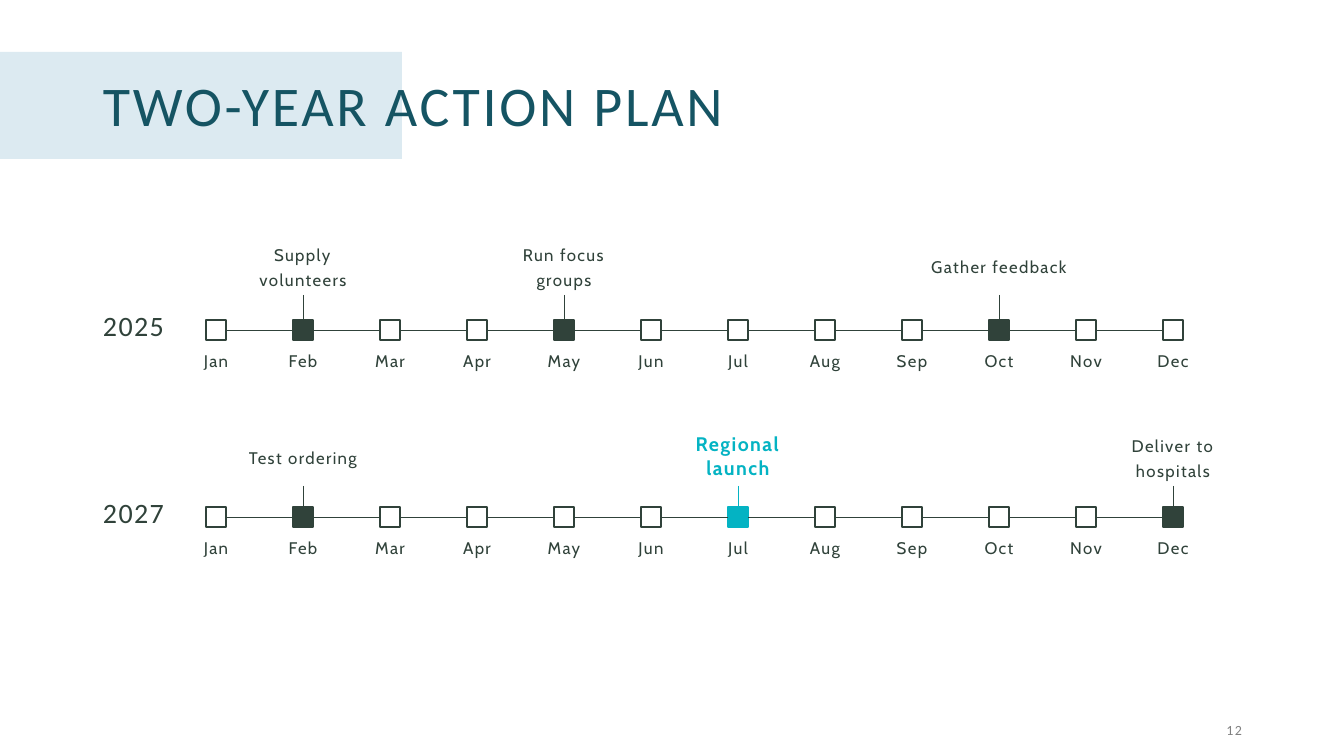
from dataclasses import dataclass

from lxml import etree
from pptx import Presentation
from pptx.dml.color import RGBColor
from pptx.enum.shapes import MSO_CONNECTOR, MSO_SHAPE
from pptx.enum.text import MSO_ANCHOR, MSO_AUTO_SIZE, PP_ALIGN
from pptx.oxml.ns import qn
from pptx.util import Emu, Pt

STRAIGHT = MSO_CONNECTOR.STRAIGHT
RECTANGLE = MSO_SHAPE.RECTANGLE
TOP, MIDDLE = MSO_ANCHOR.TOP, MSO_ANCHOR.MIDDLE
LEFT, CENTER, RIGHT = PP_ALIGN.LEFT, PP_ALIGN.CENTER, PP_ALIGN.RIGHT
NO_AUTOFIT = MSO_AUTO_SIZE.NONE
SIDE_TOP, SIDE_LEFT, SIDE_BOTTOM, SIDE_RIGHT = range(4)
EMU_PER_PX = 914400 / 100.8


@dataclass(frozen=True)
class Theme:
    heading_font: str = "Calibri"
    label_font: str = "Cabin"
    white: str = "FFFFFF"
    band: str = "DCEAF1"
    title: str = "155463"
    ink: str = "30423A"
    accent: str = "04B3C3"
    muted: str = "808080"
    title_size: int = 40
    year_size: int = 20
    launch_size: int = 14
    label_size: int = 12
    number_size: int = 10
    marker_line: float = 1
    axis_line: float = 0.5


THEME = Theme()

LABEL = {"name": THEME.label_font, "size": THEME.label_size, "color": THEME.ink}
LAUNCH = LABEL | {"size": THEME.launch_size, "color": THEME.accent, "bold": True}
YEAR = {"name": THEME.heading_font, "size": THEME.year_size, "color": THEME.ink}
TITLE = {"name": THEME.heading_font, "size": THEME.title_size, "color": THEME.title}
NUMBER = {"name": THEME.heading_font, "size": THEME.number_size, "color": THEME.muted}

MONTHS = ["Jan", "Feb", "Mar", "Apr", "May", "Jun",
          "Jul", "Aug", "Sep", "Oct", "Nov", "Dec"]
FIRST_MONTH_X = 216
MONTH_PITCH = 87
MARKER = 20
CALLOUT_WIDTH, CALLOUT_HEIGHT = 160, 61
MONTH_WIDTH, MONTH_HEIGHT = 68, 71

TIMELINES = [
    {"year": "2025", "axis": 330, "callout_top": 234, "milestones": {
        "Feb": ("Supply volunteers", LABEL),
        "May": ("Run focus groups", LABEL),
        "Oct": ("Gather feedback", LABEL)}},
    {"year": "2027", "axis": 517, "callout_top": 425, "milestones": {
        "Feb": ("Test ordering", LABEL),
        "Jul": ("Regional launch", LAUNCH),
        "Dec": ("Deliver to hospitals", LABEL)}},
]


def px(length):
    return Emu(round(length * EMU_PER_PX))


def apply(target, values):
    for name, value in values.items():
        setattr(target, name, value)


class SlideBuilder:
    def __init__(self, deck, theme):
        self.theme = theme
        self.page = deck.slides.add_slide(deck.slide_layouts[5])

    def set_text(self, holder, text, style, align, anchor, line_spacing, spacing, inset=10):
        frame = holder.text_frame
        apply(frame, {"word_wrap": True, "auto_size": NO_AUTOFIT, "vertical_anchor": anchor,
                      "margin_left": px(inset), "margin_right": px(inset),
                      "margin_top": px(5), "margin_bottom": px(5)})
        para = frame.paragraphs[0]
        apply(para, {"alignment": align, "line_spacing": line_spacing, "space_before": Pt(0)})
        span = para.add_run()
        span.text = text
        apply(span.font, {"name": style["name"], "size": Pt(style["size"]),
                          "bold": style.get("bold", False)})
        span.font.color.rgb = RGBColor.from_string(style["color"])
        span.font._element.set("spc", str(spacing * 100))

    def title(self, text, left, top, width, height):
        holder = self.page.shapes.title
        apply(holder, {"left": px(left), "top": px(top),
                       "width": px(width), "height": px(height)})
        self.set_text(holder, text, TITLE, LEFT, MIDDLE, 0.8, 2)

    def label(self, text, left, top, width, height, style, align=CENTER,
              anchor=MIDDLE, line_spacing=1.0, inset=10):
        box = self.page.shapes.add_textbox(px(left), px(top), px(width), px(height))
        self.set_text(box, text, style, align, anchor, line_spacing, 1, inset)
        return box

    def rectangle(self, left, top, width, height, fill, line=None):
        shape = self.page.shapes.add_shape(RECTANGLE, px(left), px(top), px(width), px(height))
        shape.shadow.inherit = False
        shape.fill.solid()
        shape.fill.fore_color.rgb = RGBColor.from_string(fill)
        if line:
            shape.line.color.rgb = RGBColor.from_string(line)
            shape.line.width = Pt(self.theme.marker_line)
        else:
            shape.line.fill.background()
        return shape

    def band(self, left, top, width, height):
        band = self.rectangle(left, top, width, height, self.theme.band)
        self.page.shapes.title.element.addprevious(band.element)

    def join(self, start, start_side, end, end_side, color):
        connector = self.page.shapes.add_connector(STRAIGHT, 0, 0, 0, 0)
        connector.begin_connect(start, start_side)
        connector.end_connect(end, end_side)
        connector.line.color.rgb = RGBColor.from_string(color)
        connector.line.width = Pt(self.theme.axis_line)
        etree.SubElement(connector.element.spPr, qn("a:effectLst"))

    def timeline(self, year, axis, callout_top, milestones):
        self.label(year, 77, axis - 30, 113, 55, YEAR, line_spacing=0.9)
        previous = None
        for index, month in enumerate(MONTHS):
            center = FIRST_MONTH_X + index * MONTH_PITCH
            text, style = milestones.get(month, (None, LABEL))
            color = style["color"]
            marker = self.rectangle(center - MARKER // 2, axis - MARKER // 2, MARKER, MARKER,
                                    color if text else self.theme.white, color)
            self.label(month, center - MONTH_WIDTH // 2, axis + 20, MONTH_WIDTH, MONTH_HEIGHT,
                       LABEL, anchor=TOP, line_spacing=0.8, inset=0)
            if previous:
                self.join(previous, SIDE_RIGHT, marker, SIDE_LEFT, self.theme.ink)
            if text:
                callout = self.label(text, center - CALLOUT_WIDTH // 2, callout_top,
                                     CALLOUT_WIDTH, CALLOUT_HEIGHT, style,
                                     line_spacing=1.0 if style is LAUNCH else 1.25)
                self.join(callout, SIDE_BOTTOM, marker, SIDE_TOP, color)
            previous = marker


def main():
    deck = Presentation()
    apply(deck, {"slide_width": px(1344), "slide_height": px(756)})
    slide = SlideBuilder(deck, THEME)
    slide.band(0, 52, 402, 107)
    slide.title("TWO-YEAR ACTION PLAN", 93, 74, 1159, 73)
    for timeline in TIMELINES:
        slide.timeline(**timeline)
    slide.label("12", 950, 719, 302, 22, NUMBER, align=RIGHT)
    deck.save("out.pptx")


if __name__ == "__main__":
    main()
